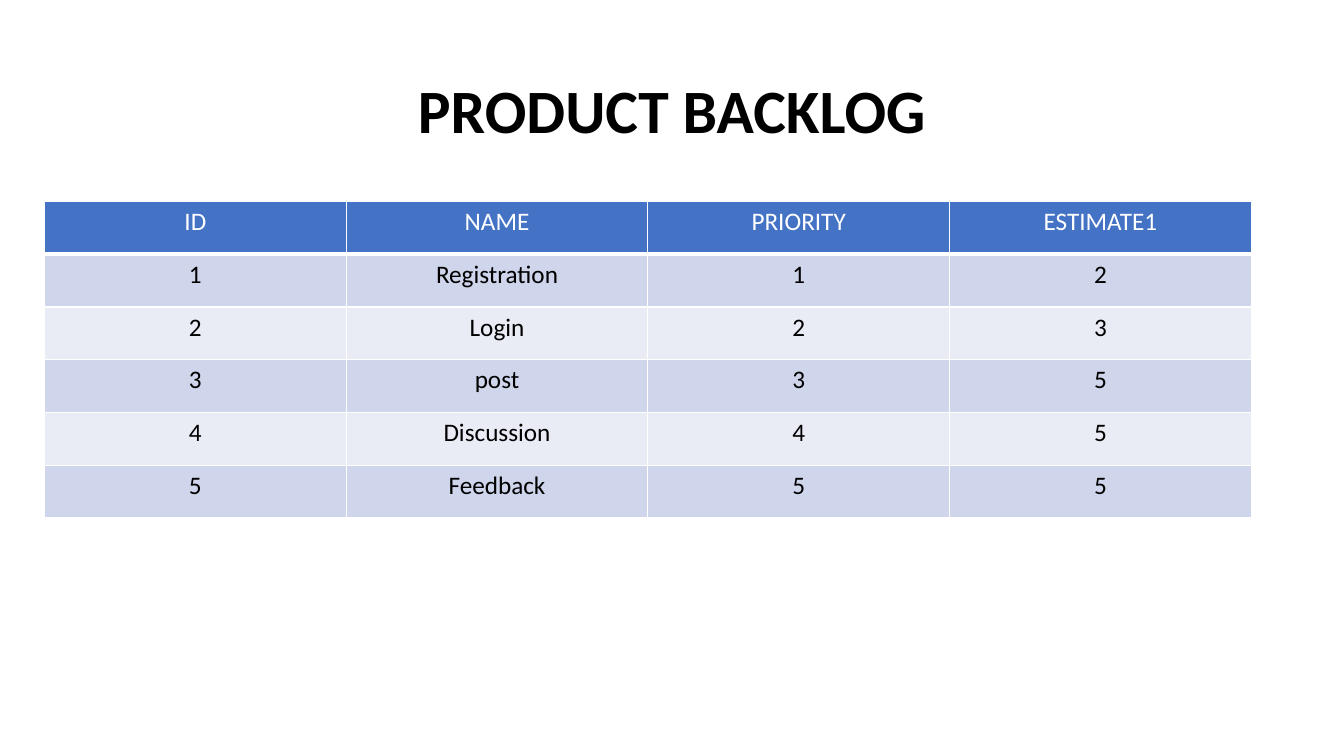
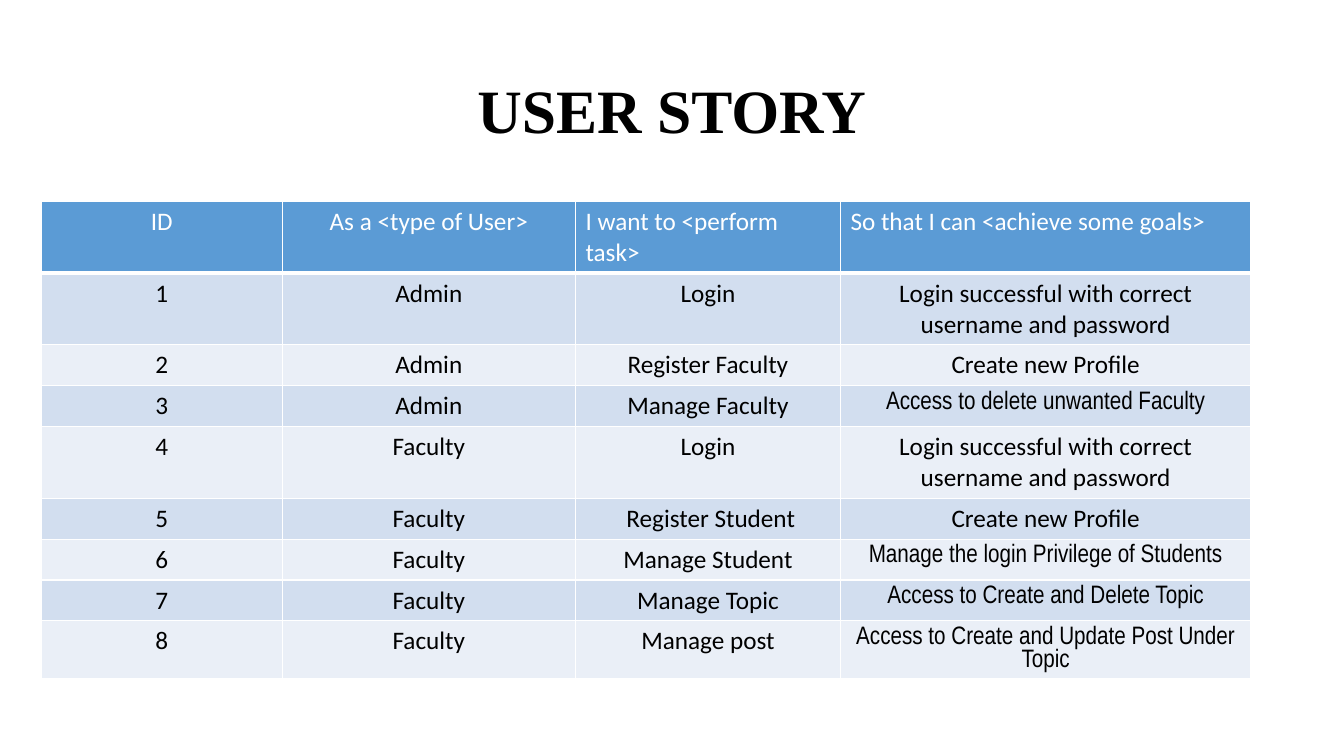
from dataclasses import dataclass

from lxml import etree
from pptx import Presentation
from pptx.dml.color import RGBColor
from pptx.enum.text import MSO_ANCHOR, PP_ALIGN
from pptx.oxml.ns import qn
from pptx.util import Pt

CENTER, LEFT = PP_ALIGN.CENTER, PP_ALIGN.LEFT
MIDDLE = MSO_ANCHOR.MIDDLE
TITLE_ONLY = 5


@dataclass(frozen=True)
class Theme:
    text: str = "000000"
    white: str = "FFFFFF"
    # Header fill, then the two alternating row fills
    indigo: tuple = ("4472C4", "CFD5EA", "E9EBF5")
    blue: tuple = ("5B9BD5", "D2DEEF", "EAEFF7")
    sans: str = "Calibri"
    serif: str = "Times New Roman"
    narrow: str = "Arial Narrow"
    title_size: int = 44
    cell_size: int = 18
    rule: int = 1
    header_rule: int = 3


THEME = Theme()
TABLE_TOP = 144

BACKLOG = [
    ("ID", "NAME", "PRIORITY", "ESTIMATE1"),
    ("1", "Registration", "1", "2"),
    ("2", "Login", "2", "3"),
    ("3", "post", "3", "5"),
    ("4", "Discussion", "4", "5"),
    ("5", "Feedback", "5", "5"),
]

LOGIN_GOAL = "Login successful with correct username and password"
PROFILE_GOAL = "Create new Profile"
STORIES = [
    ("ID", "As a <type of User>", "I want to <perform task>",
     "So that I can <achieve some goals>"),
    ("1", "Admin", "Login", LOGIN_GOAL),
    ("2", "Admin", "Register Faculty", PROFILE_GOAL),
    ("3", "Admin", "Manage Faculty", "Access to delete unwanted Faculty"),
    ("4", "Faculty", "Login", LOGIN_GOAL),
    ("5", "Faculty", " Register Student", PROFILE_GOAL),
    ("6", "Faculty", "Manage Student", "Manage the login Privilege of Students"),
    ("7", "Faculty", "Manage Topic", "Access to Create and Delete Topic"),
    ("8", "Faculty", "Manage post", "Access to Create and Update Post Under Topic"),
]
LEFT_CELLS = {(0, 2), (0, 3)}
NARROW_CELLS = {(r, 3) for r in (3, 6, 7, 8)}


def style_paragraph(p, font, size, color, align=CENTER, bold=False):
    p.alignment = align
    p.font.name = font
    p.font.size = Pt(size)
    p.font.bold = bold
    p.font.color.rgb = RGBColor.from_string(color)


def add_title_slide(prs, title, font):
    s = prs.slides.add_slide(prs.slide_layouts[TITLE_ONLY])
    sp = s.shapes.title
    sp.left, sp.top, sp.width, sp.height = Pt(66), Pt(28.8), Pt(828), Pt(104.4)
    tf = sp.text_frame
    tf.text = title
    tf.vertical_anchor = MIDDLE
    p = tf.paragraphs[0]
    p.line_spacing = 0.9
    style_paragraph(p, font, THEME.title_size, THEME.text, bold=True)
    return s


def set_borders(cell, bottom):
    """Outline a cell; borders must come before its fill."""
    tcPr = cell._tc.get_or_add_tcPr()
    widths = {"L": THEME.rule, "R": THEME.rule, "T": THEME.rule, "B": bottom}
    for side, width in widths.items():
        ln = etree.SubElement(tcPr, qn(f"a:ln{side}"), w=str(Pt(width)))
        fill = etree.SubElement(ln, qn("a:solidFill"))
        etree.SubElement(fill, qn("a:srgbClr"), val=THEME.white)


def add_table(s, rows, left, widths, row_height, fills,
              left_cells=(), narrow_cells=()):
    frame = s.shapes.add_table(len(rows), len(widths), Pt(left), Pt(TABLE_TOP),
                               Pt(sum(widths)), Pt(row_height * len(rows)))
    table = frame.table
    table.first_row = table.horz_banding = False
    for column, width in zip(table.columns, widths):
        column.width = Pt(width)
    for r, values in enumerate(rows):
        table.rows[r].height = Pt(row_height)
        header = r == 0
        fill = fills[0] if header else fills[2 - r % 2]
        for c, value in enumerate(values):
            cell = table.cell(r, c)
            set_borders(cell, THEME.header_rule if header else THEME.rule)
            cell.fill.solid()
            cell.fill.fore_color.rgb = RGBColor.from_string(fill)
            cell.text = value
            style_paragraph(
                cell.text_frame.paragraphs[0],
                THEME.narrow if (r, c) in narrow_cells else THEME.sans,
                THEME.cell_size,
                THEME.white if header else THEME.text,
                LEFT if (r, c) in left_cells else CENTER)


def main():
    prs = Presentation()
    prs.slide_width, prs.slide_height = Pt(960), Pt(540)

    # Product backlog
    s = add_title_slide(prs, "PRODUCT BACKLOG", THEME.sans)
    add_table(s, BACKLOG, 31.8, [215.5] * 4, 37.7, THEME.indigo)

    # User stories
    s = add_title_slide(prs, "USER STORY", THEME.serif)
    add_table(s, STORIES, 29.6, [172, 209.5, 189.3, 293.2], 29.2, THEME.blue,
              LEFT_CELLS, NARROW_CELLS)

    prs.save("out.pptx")


main()
